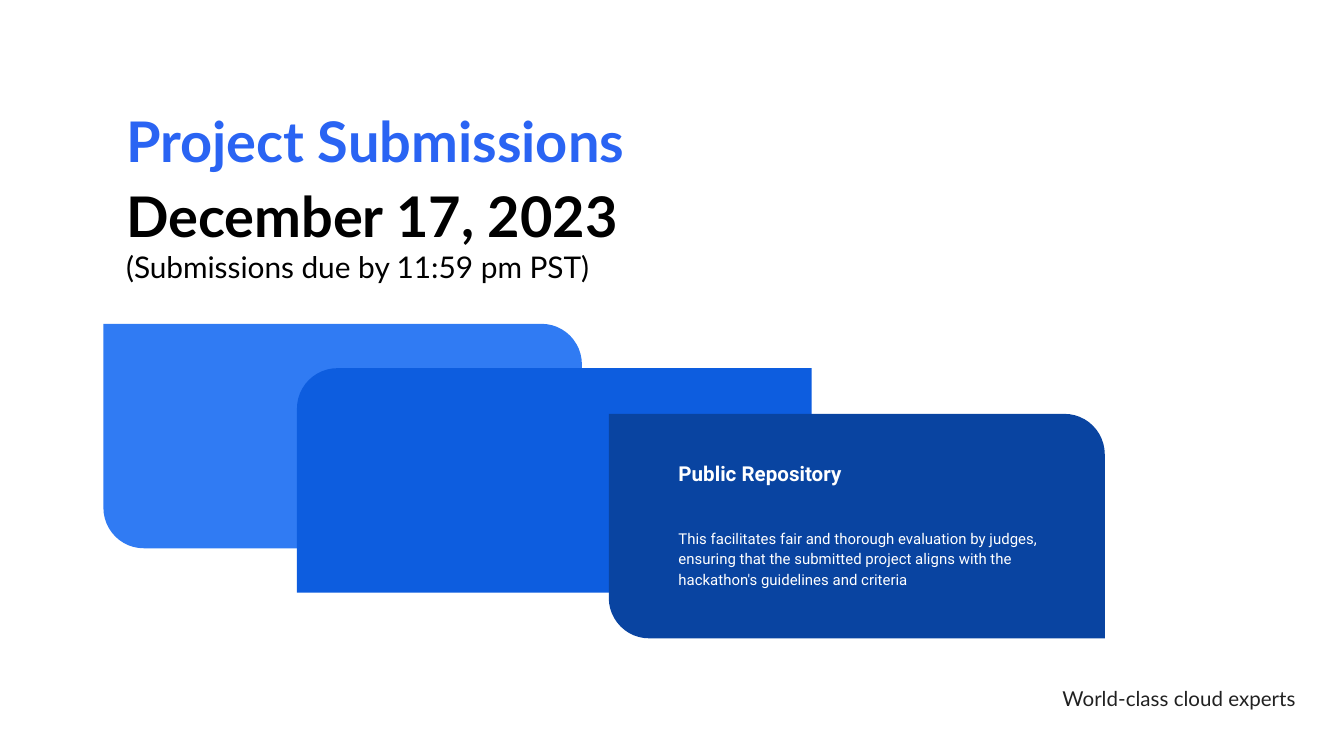
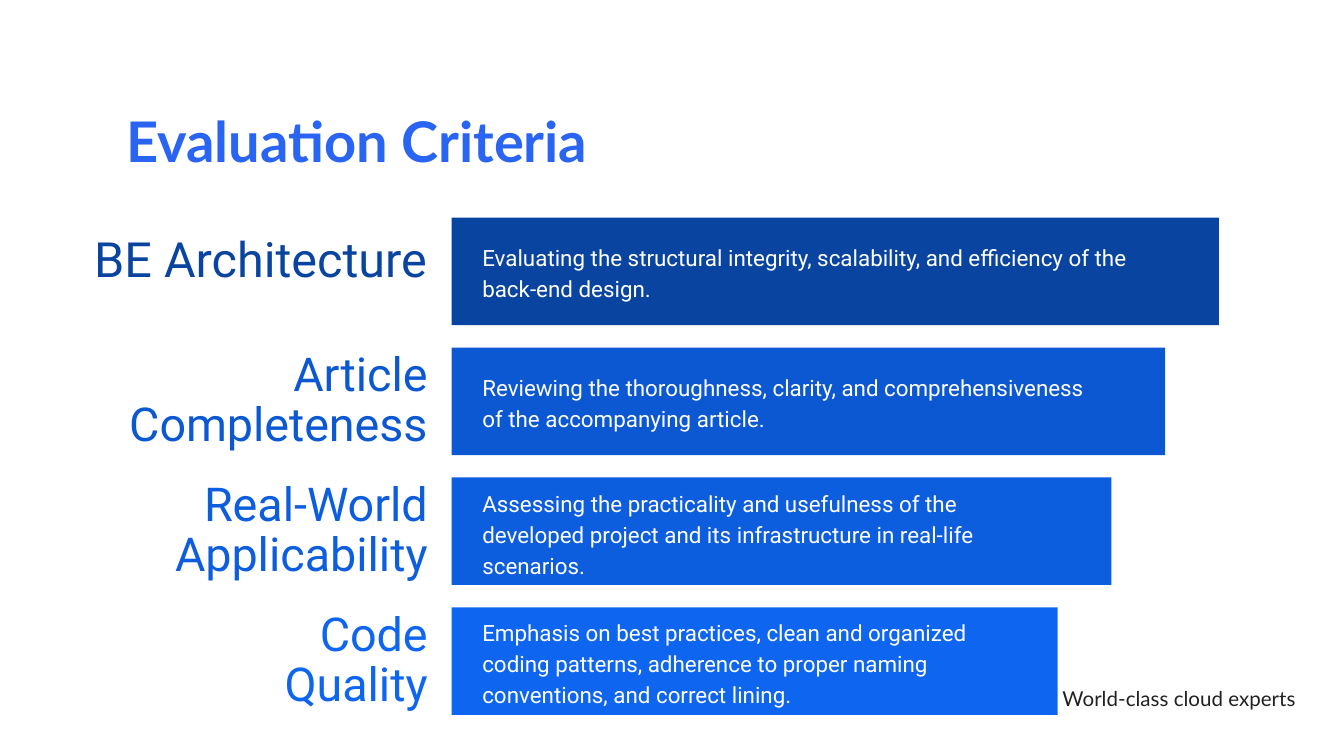
from dataclasses import dataclass

from pptx import Presentation
from pptx.dml.color import RGBColor
from pptx.enum.shapes import MSO_SHAPE
from pptx.enum.text import MSO_ANCHOR, PP_ALIGN
from pptx.util import Inches, Pt

LEFT, RIGHT = PP_ALIGN.LEFT, PP_ALIGN.RIGHT
TOP, MIDDLE = MSO_ANCHOR.TOP, MSO_ANCHOR.MIDDLE
RECTANGLE = MSO_SHAPE.RECTANGLE
DIAGONAL_ROUND = MSO_SHAPE.ROUND_2_DIAG_RECTANGLE

HEADING_FONT, BODY_FONT = "Lato", "Roboto"
TITLE_BLUE, NAVY, ROYAL = "2A64F3", "0944A1", "0D5DDF"
BLACK, WHITE, FOOTER_GREY = "000000", "FFFFFF", "212121"

ROUNDING = 0.18
CARD_HEIGHT = 1.67
BAR_LEFT, BAR_WIDTH, BAR_HEIGHT = 3.36, 5.71, 0.8
FIRST_BAR_TOP, LAST_BAR_TOP = 1.62, 4.52
BAR_SHRINK = 0.4
NOTE_LEFT, LABEL_RIGHT = 3.49, 3.28


@dataclass
class Style:
    size: float
    color: str
    font: str = BODY_FONT
    bold: bool = False


@dataclass
class Card:
    left: float
    top: float
    width: float
    color: str
    corners: tuple[float, float]


@dataclass
class Criterion:
    label: str
    note: str
    color: str
    label_width: float
    note_width: float
    note_height: float
    note_drop: float = 0
    label_size: float = 25
    label_height: float = 0.69
    label_rise: float = 0


CARDS = [
    Card(0.77, 2.41, 3.56, "307BF3", (0, ROUNDING)),
    Card(2.21, 2.74, 3.83, ROYAL, (ROUNDING, 0)),
    Card(4.53, 3.08, 3.69, NAVY, (0, ROUNDING)),
]

CRITERIA = [
    Criterion("BE Architecture",
              "Evaluating the structural integrity, scalability, and efficiency "
              "of the back-end design.",
              NAVY, 2.73, 5.21, 0.63,
              label_size=26, label_height=1.15, label_rise=0.07),
    Criterion("Article Completeness",
              "Reviewing the thoroughness, clarity, and comprehensiveness "
              "of the accompanying article.",
              "0C58D3", 2.48, 4.78, 0.36),
    Criterion("Real-World Applicability",
              "Assessing the practicality and usefulness of the developed project "
              "and its infrastructure in real-life scenarios.",
              ROYAL, 2.73, 4.21, 0.65, note_drop=0.01),
    Criterion("Code Quality",
              "Emphasis on best practices, clean and organized coding patterns, "
              "adherence to proper naming conventions, and correct lining.",
              "0E65F0", 1.67, 4.21, 0.36),
]


def rgb(color: str) -> RGBColor:
    return RGBColor.from_string(color)


def add_span(para, text: str, style: Style) -> None:
    span = para.add_run()
    span.text = text
    span.font.name = style.font
    span.font.size = Pt(style.size)
    span.font.bold = style.bold
    span.font.color.rgb = rgb(style.color)


def add_text(page, left: float, top: float, width: float, height: float,
             text: str, style: Style, align=LEFT, anchor=TOP,
             line_spacing: float = 1.0, inset: float = 0.1):
    """Add a one-paragraph text box and return the paragraph."""
    box = page.shapes.add_textbox(Inches(left), Inches(top), Inches(width), Inches(height))
    frame = box.text_frame
    frame.word_wrap = True
    frame.vertical_anchor = anchor
    frame.margin_left = frame.margin_right = Inches(0.1)
    frame.margin_top = frame.margin_bottom = Inches(inset)
    para = frame.paragraphs[0]
    para.alignment = align
    para.line_spacing = line_spacing
    add_span(para, text, style)
    return para


def add_block(page, kind, left: float, top: float, width: float, height: float, color: str):
    block = page.shapes.add_shape(kind, Inches(left), Inches(top), Inches(width), Inches(height))
    block.shadow.inherit = False
    block.fill.solid()
    block.fill.fore_color.rgb = rgb(color)
    block.line.fill.background()
    return block


def add_page(deck, title: str):
    """Add a page with the shared background, footer and title."""
    page = deck.slides.add_slide(deck.slide_layouts[6])
    page.background.fill.solid()
    page.background.fill.fore_color.rgb = rgb(WHITE)
    add_text(page, 6.79, 5.01, 2.95, 0.39, "World-class cloud experts",
             Style(11, FOOTER_GREY, HEADING_FONT), RIGHT)
    add_text(page, 0.84, 0.69, 4.29, 0.63, title,
             Style(30, TITLE_BLUE, HEADING_FONT, True))
    return page


def add_card(page, card: Card) -> None:
    block = add_block(page, DIAGONAL_ROUND, card.left, card.top, card.width,
                      CARD_HEIGHT, card.color)
    for index, corner in enumerate(card.corners):
        block.adjustments[index] = corner


def add_criterion(page, index: int, row: Criterion) -> None:
    pitch = (LAST_BAR_TOP - FIRST_BAR_TOP) / (len(CRITERIA) - 1)
    top = FIRST_BAR_TOP + index * pitch
    middle = top + BAR_HEIGHT / 2
    add_text(page, LABEL_RIGHT - row.label_width,
             middle - row.label_rise - row.label_height / 2,
             row.label_width, row.label_height, row.label,
             Style(row.label_size, row.color), RIGHT, MIDDLE, 0.9, 0.05)
    add_block(page, RECTANGLE, BAR_LEFT, top, BAR_WIDTH - index * BAR_SHRINK,
              BAR_HEIGHT, row.color)
    add_text(page, NOTE_LEFT, middle + row.note_drop - row.note_height / 2,
             row.note_width, row.note_height, row.note,
             Style(12, WHITE), LEFT, MIDDLE, 1.15, 0.05)


def build_submissions(deck) -> None:
    page = add_page(deck, "Project Submissions")
    date = add_text(page, 0.84, 1.25, 3.94, 1.04, "December 17, 2023",
                    Style(30, BLACK, HEADING_FONT, True))
    date.add_line_break()
    add_span(date, "(Submissions due by 11:59 pm PST)", Style(16, BLACK, HEADING_FONT))
    for card in CARDS:
        add_card(page, card)
    add_text(page, 4.95, 3.34, 2.97, 0.49, "Public Repository", Style(11, WHITE, bold=True))
    detail = add_text(page, 4.95, 3.82, 2.97, 0.55,
                      "This facilitates fair and thorough evaluation by judges, ensuring "
                      "that the submitted project aligns with the hackathon's guidelines "
                      "and criteria", Style(8, WHITE), line_spacing=1.15)
    detail.space_after = Pt(16)


def build_criteria(deck) -> None:
    page = add_page(deck, "Evaluation Criteria")
    for index, row in enumerate(CRITERIA):
        add_criterion(page, index, row)


def main() -> None:
    deck = Presentation()
    deck.slide_width = Inches(10)
    deck.slide_height = deck.slide_width * 9 // 16
    build_submissions(deck)
    build_criteria(deck)
    deck.save("out.pptx")


if __name__ == "__main__":
    main()
